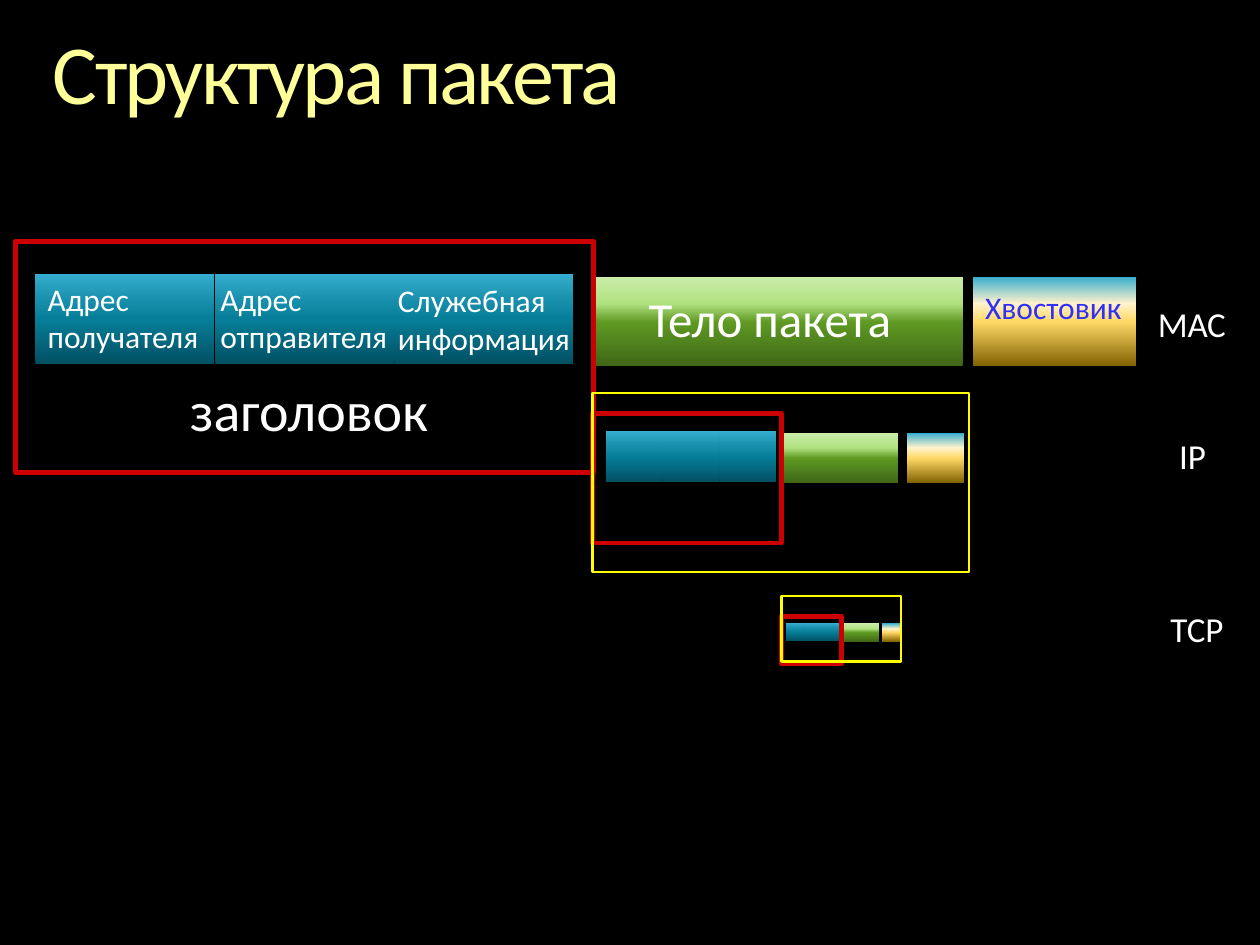
from lxml.etree import SubElement as Sub
from pptx import Presentation as Deck
from pptx.dml.color import RGBColor as RGB
from pptx.enum.shapes import MSO_SHAPE as Shape
from pptx.enum.text import MSO_ANCHOR as Anchor, PP_ALIGN as Align
from pptx.oxml.ns import qn
from pptx.util import Inches, Pt

BLACK = RGB(0x00, 0x00, 0x00)
WHITE = RGB(0xFF, 0xFF, 0xFF)
CREAM = RGB(0xFF, 0xFF, 0x99)
YELLOW = RGB(0xFF, 0xFF, 0x00)
RED = RGB(0xCC, 0x00, 0x00)
BLUE = RGB(0x30, 0x30, 0xF8)
TEAL = [(0, RGB(0x01, 0x50, 0x62)), (50, RGB(0x07, 0x7E, 0x99)),
        (70, RGB(0x17, 0x8E, 0xAB)), (100, RGB(0x35, 0xAD, 0xCE))]
GREEN = [(0, RGB(0x3F, 0x66, 0x17)), (49, RGB(0x5E, 0x99, 0x22)),
         (70, RGB(0xB1, 0xE2, 0x80)), (100, RGB(0xCB, 0xEC, 0xAA))]
GOLD = [(0, RGB(0x80, 0x60, 0x00)), (50, RGB(0xFF, 0xD9, 0x66)),
        (70, RGB(0xFF, 0xF2, 0xCC)), (100, RGB(0x35, 0xAD, 0xCE))]

FILLS = [TEAL, TEAL, TEAL, GREEN, GOLD]
OUTER = {"head": 4.59, "parts": [(0.16, 1.42), (1.59, 1.42), (3.01, 1.42),
                                 (4.61, 2.91), (7.6, 1.3)]}
INNER = {"head": 1.5, "parts": [(0.11, 0.45), (0.56, 0.45), (1.01, 0.45),
                                (1.51, 0.92), (2.5, 0.45)]}


def place(box):
    return [Inches(size) for size in box]


def write(frame, text, size=18, color=WHITE, space=None, lines=None):
    frame.word_wrap = True
    par = frame.paragraphs[0]
    par.alignment = Align.LEFT
    par.line_spacing = lines
    run = par.add_run()
    run.text = text
    run.font.name = "Calibri"
    run.font.size = Pt(size)
    run.font.color.rgb = color
    if space:
        run.font._element.set("spc", str(space))


def label(slide, box, text, **form):
    write(slide.shapes.add_textbox(*place(box)).text_frame, text, **form)


def shade(shape, stops):
    shape.fill.gradient()
    grad = shape.fill._xPr.find(qn("a:gradFill"))
    for child in list(grad):
        grad.remove(child)
    group = Sub(grad, qn("a:gsLst"))
    for pos, color in stops:
        stop = Sub(group, qn("a:gs"), pos=str(pos * 1000))
        Sub(stop, qn("a:srgbClr"), val=str(color))
    Sub(grad, qn("a:lin"), ang="16200000", scaled="0")


def block(slide, box, stops):
    shape = slide.shapes.add_shape(Shape.RECTANGLE, *place(box))
    shape.shadow.inherit = False
    shape.line.fill.background()
    shade(shape, stops)


def border(slide, box, color, width):
    shape = slide.shapes.add_shape(Shape.RECTANGLE, *place(box))
    shape.shadow.inherit = False
    shape.fill.background()
    shape.line.color.rgb = color
    shape.line.width = Pt(width)


def packet(slide, box, plan):
    left, top, width, height = box
    scale = width / sum(plan["parts"][-1])
    for (shift, size), stops in zip(plan["parts"], FILLS):
        drop = 0.14 if stops is TEAL else 0.15
        block(slide, (left + shift * scale, top + drop * height,
                      size * scale, 0.39 * height), stops)
    border(slide, (left, top, plan["head"] * scale, height), RED, 2.75)


def heading(slide, box, text):
    title = slide.shapes.title
    title.left, title.top, title.width, title.height = place(box)
    frame = title.text_frame
    frame.margin_left = frame.margin_right = 0
    frame.margin_top = frame.margin_bottom = 0
    frame.vertical_anchor = Anchor.TOP
    write(frame, text, size=48, color=CREAM, space=-150, lines=0.9)


def legend(slide, box):
    left, top, width, height = box
    for shift, drop, text in [(0, 0, "МАС"), (0.17, 1.05, "IP"),
                              (0.1, 2.42, "TCP")]:
        label(slide, (left + shift, top + drop, width, height), text, size=20)


def main():
    deck = Deck()
    deck.slide_width, deck.slide_height = Inches(10), Inches(7.5)
    slide = deck.slides.add_slide(deck.slide_layouts[5])
    back = slide.background.fill
    back.solid()
    back.fore_color.rgb = BLACK

    heading(slide, (0.42, 0.25, 9.17, 0.73), "Структура пакета")

    packet(slide, (0.12, 1.92, 8.9, 1.83), OUTER)
    label(slide, (0.28, 2.17, 1.42, 0.71), "Адрес получателя")
    label(slide, (1.65, 2.17, 1.55, 0.71), "Адрес отправителя")
    label(slide, (3.06, 2.18, 1.71, 0.71), "Служебная информация")
    label(slide, (5.05, 2.24, 2.63, 0.57), "Тело пакета", size=28)
    label(slide, (7.72, 2.24, 1.3, 0.4), "Хвостовик", color=BLUE)
    label(slide, (1.41, 2.93, 2.43, 0.64), "заголовок", size=32)

    packet(slide, (4.7, 3.28, 2.95, 1.03), INNER)
    border(slide, (4.7, 3.12, 2.99, 1.42), YELLOW, 1.5)
    packet(slide, (6.2, 4.89, 0.94, 0.38), INNER)
    border(slide, (6.2, 4.73, 0.95, 0.52), YELLOW, 1.5)

    legend(slide, (9.09, 2.35, 0.79, 0.44))
    deck.save("out.pptx")


if __name__ == "__main__":
    main()
